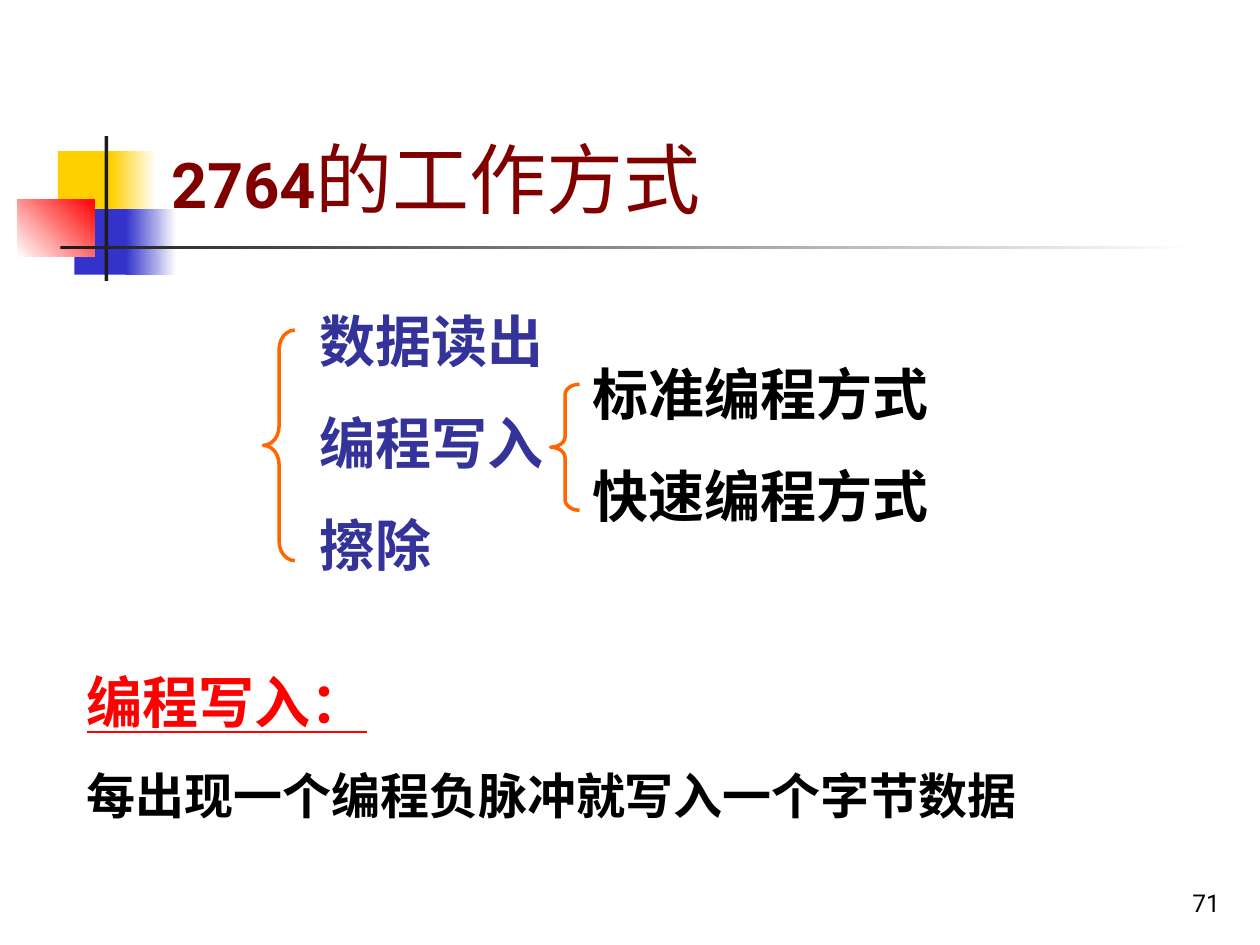
from pptx import Presentation
from pptx.dml.color import RGBColor
from pptx.enum.shapes import MSO_SHAPE
from pptx.enum.text import MSO_ANCHOR, MSO_AUTO_SIZE, PP_ALIGN
from pptx.util import Inches, Pt

RECTANGLE, LEFT_BRACE = MSO_SHAPE.RECTANGLE, MSO_SHAPE.LEFT_BRACE
TOP, BOTTOM = MSO_ANCHOR.TOP, MSO_ANCHOR.BOTTOM
LEFT, RIGHT = PP_ALIGN.LEFT, PP_ALIGN.RIGHT
GROW = MSO_AUTO_SIZE.SHAPE_TO_FIT_TEXT

WHITE = RGBColor(0xFF, 0xFF, 0xFF)
BLACK = RGBColor(0x00, 0x00, 0x00)
CHARCOAL = RGBColor(0x1C, 0x1C, 0x1C)
YELLOW = RGBColor(0xFF, 0xCF, 0x01)
BLUE = RGBColor(0x33, 0x33, 0xCC)
RED = RGBColor(0xFF, 0x00, 0x00)
MAROON = RGBColor(0x80, 0x00, 0x00)
INDIGO = RGBColor(0x33, 0x33, 0x99)
ORANGE = RGBColor(0xFF, 0x66, 0x00)

SANS, SERIF = "Roboto", "Times New Roman"

# (left, top, width, height), colours from start to end, gradient angle
DECORATION = [
    ((0.46, 1.2, 0.48, 0.52), [YELLOW], 0),
    ((0.88, 1.2, 0.36, 0.52), [YELLOW, WHITE], 0),
    ((0.59, 1.66, 0.46, 0.52), [BLUE], 0),
    ((1, 1.66, 0.4, 0.52), [BLUE, WHITE], 0),
    ((0.14, 1.58, 0.61, 0.46), [WHITE, RED], 45),
    ((0.83, 1.08, 0.03, 1.15), [CHARCOAL], 0),
    ((0.48, 1.95, 9, 0.03), [CHARCOAL, WHITE], 0),
]
BRACES = [(2.09, 2.62, 0.25, 1.83), (4.37, 3.05, 0.23, 1)]
BRACE_CURVE = 1 / 12  # share of the brace height taken by each curve

# Run: text, size, font, colour, bold, underline
PAGE_NUMBER = [[("71", 14, SANS, BLACK, False, False)]]
TITLE = [[("2764", 36, SANS, MAROON, True, False),
          ("的工作方式", 44, SANS, MAROON, False, False)]]
MODES = [[(text, 32, SERIF, INDIGO, True, False)]
         for text in ("数据读出", "编程写入", "擦除")]
WRITE_MODES = [[(text, 32, SERIF, BLACK, True, False)]
               for text in ("标准编程方式", "快速编程方式")]
EXPLANATION = [[("编程写入：", 32, SERIF, RED, True, True)],
               [("每出现一个编程负脉冲就写入一个字节数据", 28, SERIF, BLACK, True, False)]]

HEADER_TEXTS = [
    ((7.7, 6.83, 2.08, 0.5), PAGE_NUMBER, RIGHT),
    ((1.26, 0.23, 8.52, 1.6), TITLE, LEFT),
]
BODY_TEXTS = [
    ((2.44, 2.38, 2.25, 2.26), MODES),
    ((4.6, 2.8, 2.92, 1.45), WRITE_MODES),
    ((0.59, 5.25, 8.75, 1.35), EXPLANATION),
]
SPACE_BEFORE = 0.625  # share of the text size


def add_block(slide, box, colours, angle):
    shape = slide.shapes.add_shape(RECTANGLE, *map(Inches, box))
    shape.shadow.inherit = False
    shape.line.fill.background()
    if len(colours) == 1:
        shape.fill.solid()
        shape.fill.fore_color.rgb = colours[0]
        return
    shape.fill.gradient()
    shape.fill.gradient_angle = angle
    for stop, colour in zip(shape.fill.gradient_stops, colours):
        stop.color.rgb = colour


def add_brace(slide, box):
    width, height = box[2:]
    shape = slide.shapes.add_shape(LEFT_BRACE, *map(Inches, box))
    shape.shadow.inherit = False
    shape.adjustments[0] = height * BRACE_CURVE / width
    shape.fill.background()
    shape.line.color.rgb = ORANGE
    shape.line.width = Pt(2)


def add_text(slide, box, paragraphs, alignment=LEFT, anchor=TOP, spacing=0):
    frame = slide.shapes.add_textbox(*map(Inches, box)).text_frame
    frame.word_wrap = True
    frame.vertical_anchor = anchor
    if anchor == TOP:
        frame.auto_size = GROW
    for index, runs in enumerate(paragraphs):
        paragraph = frame.add_paragraph() if index else frame.paragraphs[0]
        paragraph.alignment = alignment
        paragraph.space_before = Pt(runs[0][1] * spacing)
        for text, size, font, colour, bold, underline in runs:
            run = paragraph.add_run()
            run.text = text
            run.font.size = Pt(size)
            run.font.name = font
            run.font.color.rgb = colour
            run.font.bold = bold
            run.font.underline = underline


def main():
    presentation = Presentation()
    presentation.slide_width = Inches(10)
    presentation.slide_height = Inches(7.5)
    slide = presentation.slides.add_slide(presentation.slide_layouts[6])
    for box, colours, angle in DECORATION:
        add_block(slide, box, colours, angle)
    for box, paragraphs, alignment in HEADER_TEXTS:
        add_text(slide, box, paragraphs, alignment, BOTTOM)
    for box, paragraphs in BODY_TEXTS:
        add_text(slide, box, paragraphs, spacing=SPACE_BEFORE)
    for box in BRACES:
        add_brace(slide, box)
    presentation.save("out.pptx")


if __name__ == "__main__":
    main()
